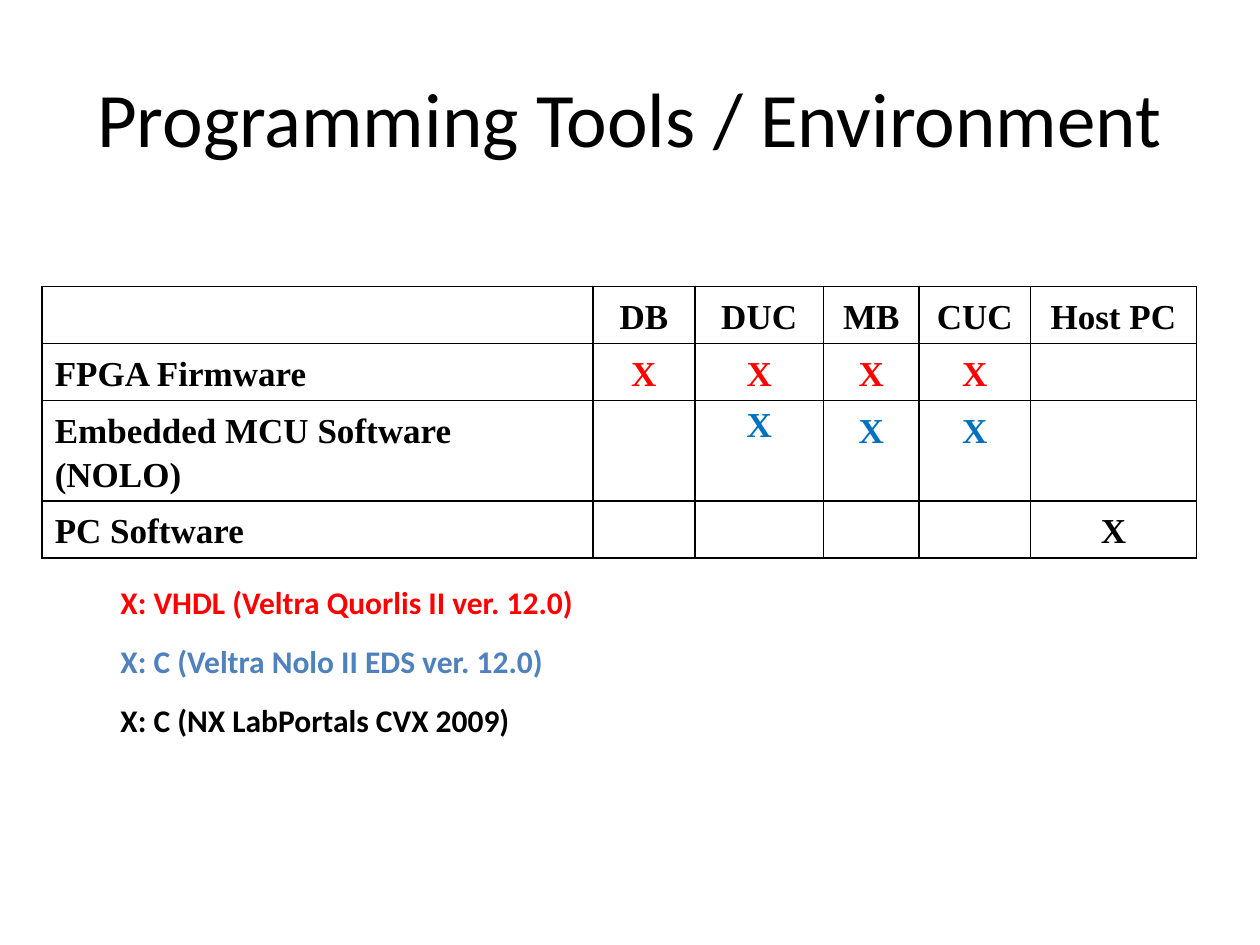
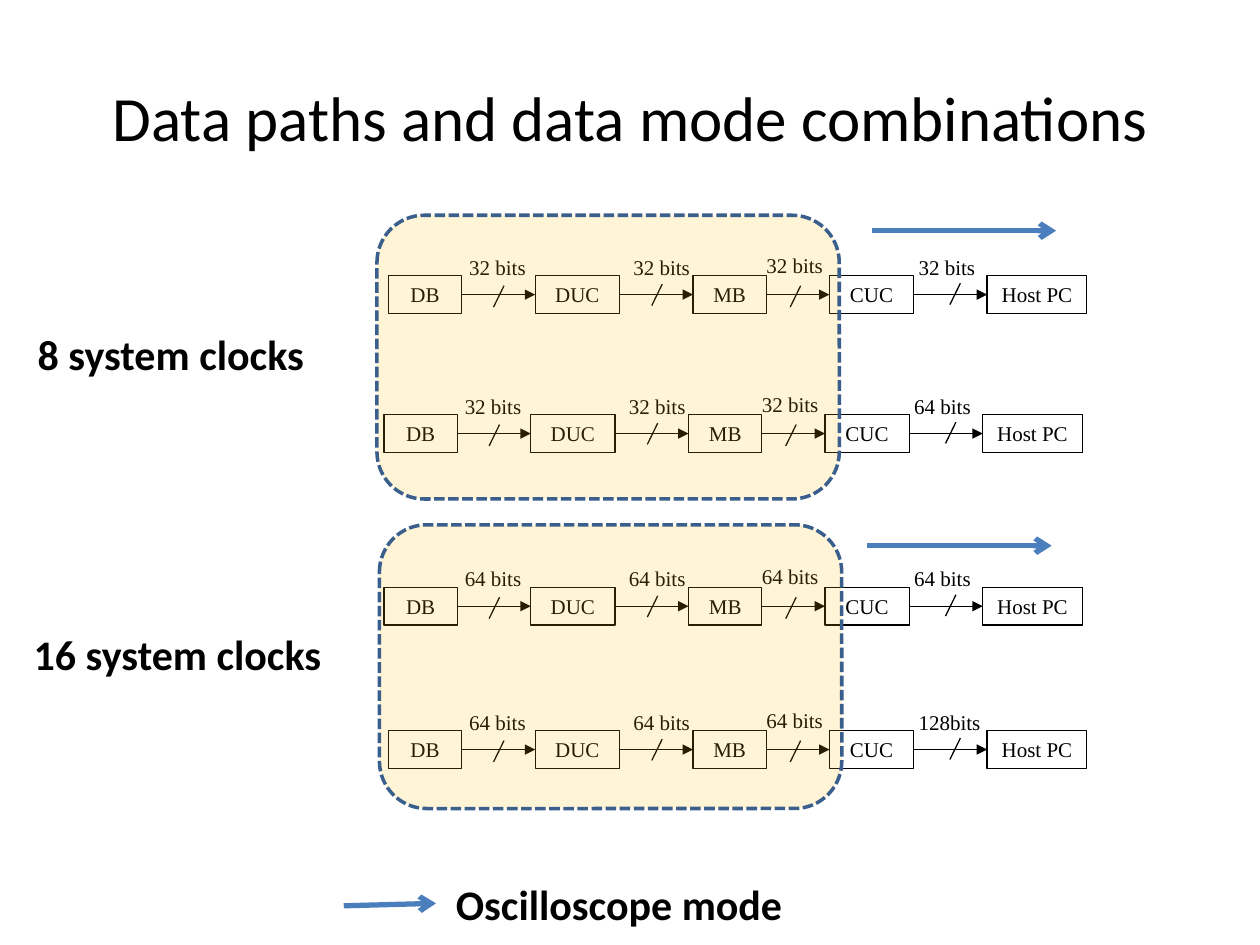
from dataclasses import dataclass, replace
from lxml.etree import SubElement
from pptx import Presentation
from pptx.dml.color import RGBColor
from pptx.enum.dml import MSO_LINE
from pptx.enum.shapes import MSO_CONNECTOR, MSO_SHAPE
from pptx.enum.text import MSO_ANCHOR, PP_ALIGN
from pptx.oxml.ns import qn
from pptx.util import Cm, Pt


@dataclass(frozen=True)
class Font:
    """Type face, size, weight and colour of a run."""
    name: str
    size: int
    bold: bool = False
    color: str = "000000"


@dataclass(frozen=True)
class Theme:
    """Colours, line widths and type shared by the slides."""
    black: str = "000000"
    red: str = "FF0000"
    blue: str = "0070C0"
    steel: str = "4F81BD"
    arrow: str = "4B7EBC"
    edge: str = "3A5F8C"
    gold: str = "FFC000"
    thin: float = 0.75
    grid: float = 1
    dash: float = 2
    thick: float = 3
    title: Font = Font("Calibri", 44)
    grid_font: Font = Font("Times New Roman", 20, True)
    key: Font = Font("Calibri", 18, True)
    node: Font = Font("Times New Roman", 12)
    note: Font = Font("Calibri", 24, True)


@dataclass(frozen=True)
class Hop:
    """Gap between two units, with the offsets of its label and slash."""
    gap: float
    label: tuple
    slash: tuple


THEME = Theme()
UNITS = ("DB", "DUC", "MB", "CUC", "Host PC")
WIDTHS = (1.48, 1.7, 1.48, 1.7, 2.01)
HOPS = (
    Hop(1.48, (-0.1, -0.56), (0.85, 0.2)),
    Hop(1.48, (0.03, -0.56), (0.86, 0.17)),
    Hop(1.27, (-0.25, -0.6), (0.69, 0.2)),
    Hop(1.48, (-0.15, -0.56), (0.94, 0.15)),
)


def cms(*values):
    """Turn numbers into centimetre lengths."""
    return [Cm(value) for value in values]


def rgb(code):
    """Turn a hex code into a colour."""
    return RGBColor.from_string(code)


def write(frame, text, font, align=PP_ALIGN.LEFT, space=None):
    """Fill a text frame with one formatted run."""
    para = frame.paragraphs[0]
    para.alignment = align
    if space:
        para.line_spacing = space
    run = para.add_run()
    run.text = text
    run.font.name = font.name
    run.font.size = Pt(font.size)
    run.font.bold = font.bold
    run.font.color.rgb = rgb(font.color)


def add_text(shapes, box, text, font, space=None):
    """Add a wrapped text box."""
    frame = shapes.add_textbox(*cms(*box)).text_frame
    frame.word_wrap = True
    write(frame, text, font, space=space)


def add_line(shapes, start, end, color, width, head=None):
    """Add a straight line, with an arrowhead at its end if named."""
    line = shapes.add_connector(MSO_CONNECTOR.STRAIGHT, *cms(*start, *end))
    line.line.color.rgb = rgb(color)
    line.line.width = Pt(width)
    if head:
        SubElement(line.line._get_or_add_ln(), qn("a:tailEnd"), type=head)
    SubElement(line._element.spPr, qn("a:effectLst"))
    return line


def add_page(deck, text, size):
    """Add a slide with its title."""
    slide = deck.slides.add_slide(deck.slide_layouts[5])
    title = slide.shapes.title
    title.left, title.top, title.width, title.height = cms(1.27, 0.76, 22.86, 3.18)
    title.text_frame.vertical_anchor = MSO_ANCHOR.MIDDLE
    write(title.text_frame, text, replace(THEME.title, size=size), PP_ALIGN.CENTER)
    return slide


def edge_cell(cell):
    """Draw the four borders of a cell, and leave it unfilled."""
    props = cell._tc.get_or_add_tcPr()
    for side in ("lnL", "lnR", "lnT", "lnB"):
        line = SubElement(props, qn(f"a:{side}"), w=str(Pt(THEME.grid)))
        fill = SubElement(line, qn("a:solidFill"))
        SubElement(fill, qn("a:srgbClr"), val=THEME.black)
    cell.fill.background()


def add_grid(slide, left, top):
    """Add the table of tools by unit."""
    rows = (
        ("", UNITS, THEME.black),
        ("FPGA Firmware", ("X", "X", "X", "X", ""), THEME.red),
        ("Embedded MCU Software (NOLO)", ("", "X", "X", "X", ""), THEME.blue),
        ("PC Software", ("", "", "", "", "X"), THEME.black),
    )
    cols, high = (11.1, 2.06, 2.59, 1.93, 2.24, 3.35), 1.15
    box = cms(left, top, sum(cols), high * len(rows))
    table = slide.shapes.add_table(len(rows), len(cols), *box).table
    table.first_row = table.horz_banding = False
    for col, width in zip(table.columns, cols):
        col.width = Cm(width)
    for r, (name, marks, color) in enumerate(rows):
        table.rows[r].height = Cm(high)
        for c, text in enumerate((name, *marks)):
            cell = table.cell(r, c)
            cell.margin_top = cell.margin_bottom = Cm(0.11)
            edge_cell(cell)
            if text:
                font = replace(THEME.grid_font, color=color if c else THEME.black)
                align = PP_ALIGN.CENTER if c else PP_ALIGN.LEFT
                write(cell.text_frame, text, font, align, 1 if (r, c) == (2, 2) else 1.15)


def add_key(slide, left, top):
    """Add the lines that explain the coloured marks."""
    items = (
        ("X: VHDL (Veltra Quorlis II ver. 12.0)", THEME.red),
        ("X: C (Veltra Nolo II EDS ver. 12.0)", THEME.steel),
        ("X: C (NX LabPortals CVX 2009)", THEME.black),
    )
    for i, (text, color) in enumerate(items):
        font = replace(THEME.key, color=color)
        add_text(slide.shapes, (left, top + 1.19 * i, 11.5, 1.14), text, font, 1.15)


def add_unit(shapes, box, text):
    """Add one outlined unit of a path."""
    unit = shapes.add_shape(MSO_SHAPE.RECTANGLE, *cms(*box))
    unit.shadow.inherit = False
    unit.fill.background()
    unit.line.color.rgb = rgb(THEME.black)
    unit.line.width = Pt(THEME.thin)
    unit.text_frame.word_wrap = False
    write(unit.text_frame, text, THEME.node, PP_ALIGN.CENTER)
    return unit


def add_path(slide, left, top, bits):
    """Add a grouped chain of units, joined by labelled arrows."""
    shapes, high = slide.shapes.add_group_shape().shapes, 0.76
    units, ends, x = [], [], left
    for i, (text, width) in enumerate(zip(UNITS, WIDTHS)):
        units.append(add_unit(shapes, (x, top, width, high), text))
        ends.append(x + width)
        x += width + (HOPS[i].gap if i < len(HOPS) else 0)
    mid = top + high / 2
    for a, b, x, hop, text in zip(units, units[1:], ends, HOPS, bits):
        line = add_line(shapes, (x, mid), (x + hop.gap, mid),
                        THEME.black, THEME.thin, "triangle")
        line.begin_connect(a, 3)
        line.end_connect(b, 1)
        dx, dy = hop.slash
        add_line(shapes, (x + dx, top + dy), (x + dx - 0.21, top + dy + 0.43),
                 THEME.black, THEME.thin)
        dx, dy = hop.label
        add_text(shapes, (x + dx, top + dy, 1.78, high), text, THEME.node)


def add_zone(slide, left, top):
    """Add a dashed, see-through zone over the paths."""
    zone = slide.shapes.add_shape(MSO_SHAPE.ROUNDED_RECTANGLE, *cms(left, top, 9.32, 5.72))
    zone.shadow.inherit = False
    zone.fill.solid()
    zone.fill.fore_color.rgb = rgb(THEME.gold)
    tint = zone._element.spPr.find(qn("a:solidFill"))[0]
    SubElement(tint, qn("a:alpha"), val="16000")
    zone.line.color.rgb = rgb(THEME.edge)
    zone.line.width = Pt(THEME.dash)
    zone.line.dash_style = MSO_LINE.SQUARE_DOT


def add_mode(slide, start, end):
    """Add a thick mode arrow."""
    add_line(slide.shapes, start, end, THEME.arrow, THEME.thick, "arrow")


def tools_page(deck):
    """Build the slide on programming tools."""
    slide = add_page(deck, "Programming Tools / Environment", 44)
    add_grid(slide, 0.85, 5.78)
    add_key(slide, 2.18, 11.51)


def paths_page(deck):
    """Build the slide on data paths."""
    slide = add_page(deck, "Data paths and data mode combinations", 36)
    paths = (
        (7.83, 5.56, "32 bits", "32 bits"),
        (7.74, 8.36, "32 bits", "64 bits"),
        (7.74, 11.84, "64 bits", "64 bits"),
        (7.83, 14.73, "64 bits", "128bits"),
    )
    for left, top, bits, last in paths:
        add_path(slide, left, top, (bits, bits, bits, last))
    add_zone(slide, 7.6, 4.34)
    add_zone(slide, 7.65, 10.58)
    notes = (
        (0.43, 12.55, "16 system clocks"),
        (0.51, 6.5, "8 system clocks"),
        (8.94, 17.58, "Oscilloscope mode"),
    )
    for left, top, text in notes:
        add_text(slide.shapes, (left, top, 7.44, 1.27), text, THEME.note)
    for left, top in ((17.57, 4.65), (17.48, 11)):
        add_mode(slide, (left, top), (left + 3.72, top))
    add_mode(slide, (6.93, 18.26), (8.79, 18.21))


def main():
    """Build and save the deck."""
    deck = Presentation()
    deck.slide_width, deck.slide_height = cms(25.4, 19.05)
    tools_page(deck)
    paths_page(deck)
    deck.save("out.pptx")


if __name__ == "__main__":
    main()
